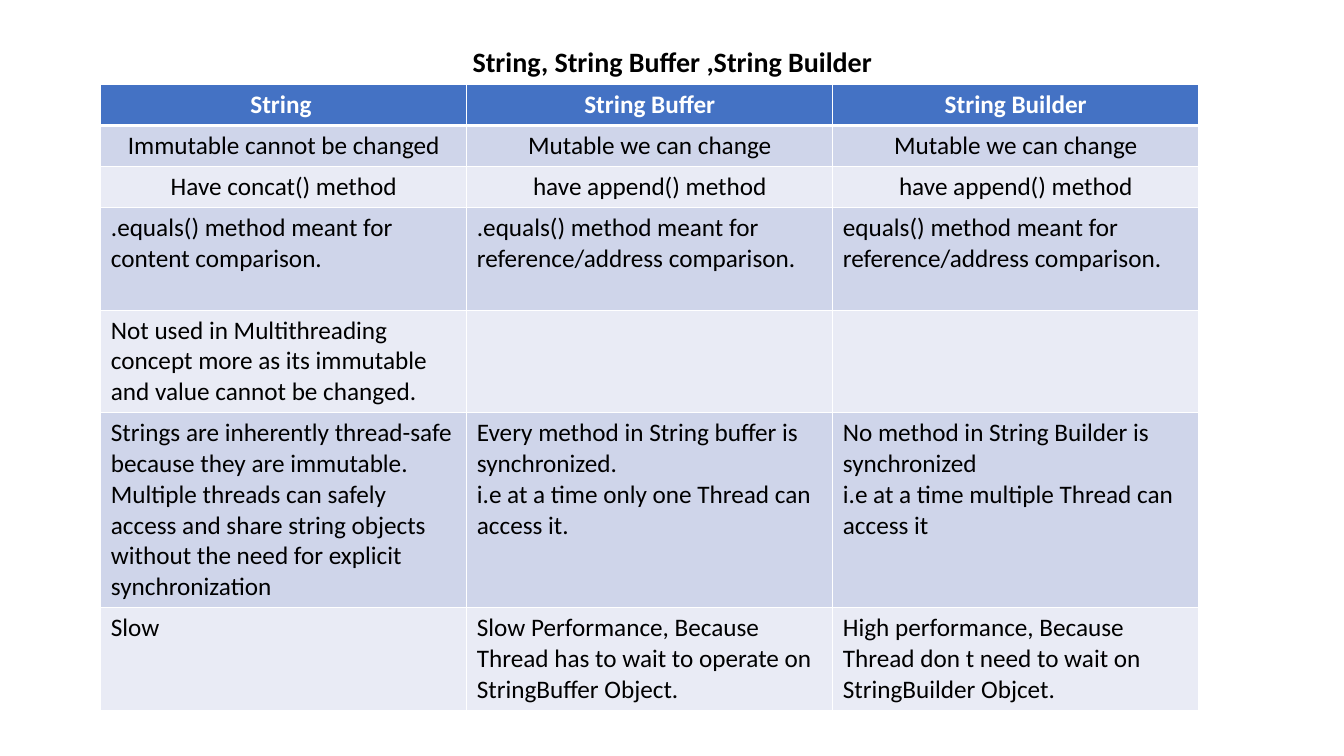
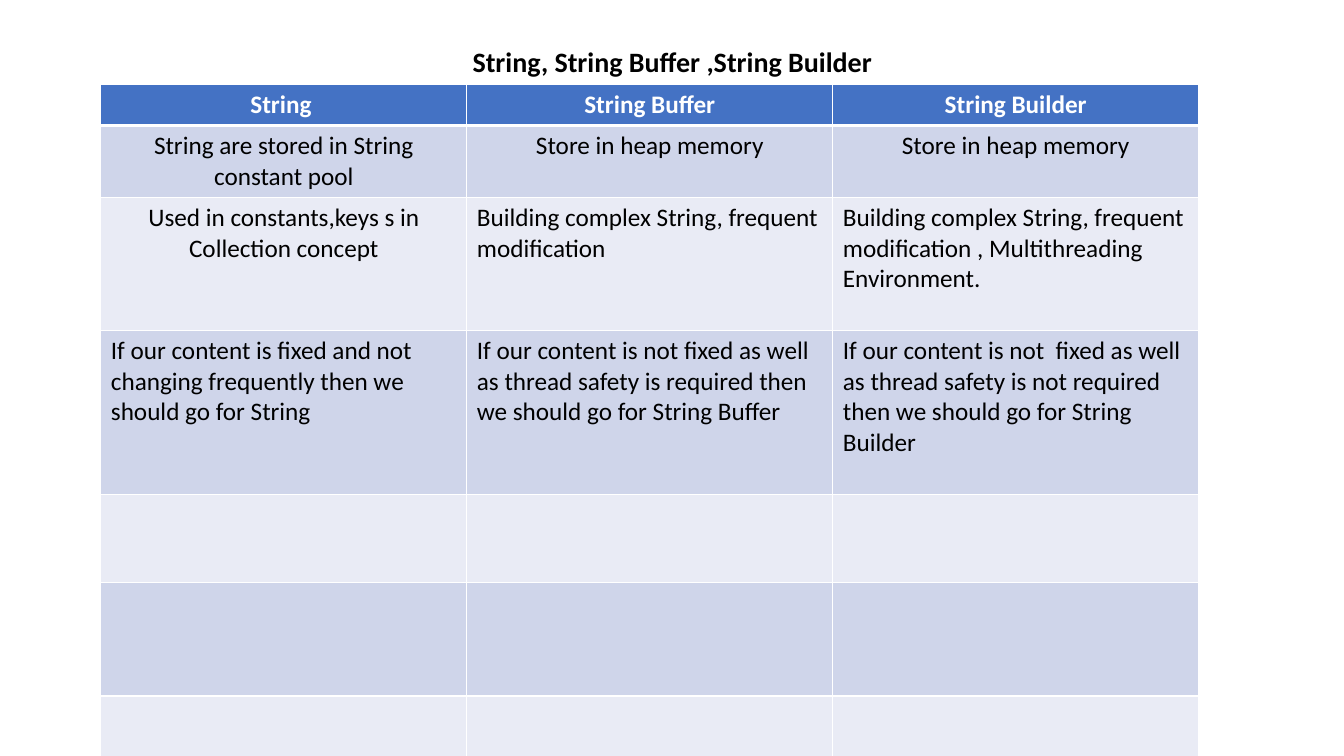
"""Build two slides comparing String, String Buffer and String Builder."""
import lxml.etree
import pptx
import pptx.dml.color
import pptx.enum.text
import pptx.oxml.ns
import pptx.util

Inches = pptx.util.Inches
Pt = pptx.util.Pt
RGBColor = pptx.dml.color.RGBColor
PP_ALIGN = pptx.enum.text.PP_ALIGN

TITLE = "String, String Buffer ,String Builder"
HEADINGS = ("String ", "String Buffer", "String Builder")
EMPTY_ROW = ("", "", "")

COMPARISONS = [
    {
        "rows": [
            ("Immutable cannot be changed", "Mutable we can change", "Mutable we can change"),
            ("Have concat() method", "have append() method", "have append() method"),
            (
                ".equals() method meant for content comparison.",
                ".equals() method meant for reference/address comparison.",
                "equals() method meant for reference/address comparison.",
            ),
            (
                "Not used in Multithreading concept more as its immutable "
                "and value cannot be changed.",
                "",
                "",
            ),
            (
                "Strings are inherently thread-safe because they are immutable. "
                "Multiple threads can safely access and share string objects "
                "without the need for explicit synchronization",
                "Every method in String buffer is synchronized.\v"
                "i.e at a time only one Thread can access it.",
                "No method in String Builder is synchronized\n"
                "i.e at a time multiple Thread can access it",
            ),
            (
                "Slow ",
                "Slow Performance, Because Thread has to wait to operate on StringBuffer Object.",
                "High performance, Because Thread don t need to wait on StringBuilder Objcet.",
            ),
        ],
        "heights": (0.4, 0.4, 0.4, 1.02, 1.02, 1.93, 1.02),
        "centred_rows": (3, 3, 3),
    },
    {
        "rows": [
            (
                "String are stored in String constant pool",
                "Store in heap memory",
                "Store in heap memory",
            ),
            (
                "Used in constants,keys s in Collection concept",
                "Building complex String, frequent modification",
                "Building complex String, frequent modification , Multithreading Environment.",
            ),
            (
                "If our content is fixed and not changing frequently then we should go for String",
                "If our content is not fixed as well as thread safety is required "
                "then we should go for String Buffer",
                "If our content is not  fixed as well as thread safety is not required "
                "then we should go for String Builder",
            ),
            EMPTY_ROW,
            EMPTY_ROW,
            EMPTY_ROW,
        ],
        "heights": (0.4, 0.71, 1.32, 1.63, 0.87, 1.13, 0.87),
        "centred_rows": (3, 2, 2),
    },
]

FONT = "Calibri"
BLACK = RGBColor(0x00, 0x00, 0x00)
WHITE = RGBColor(0xFF, 0xFF, 0xFF)
HEADER_BLUE = RGBColor(0x44, 0x72, 0xC4)
BANDS = (RGBColor(0xE9, 0xEB, 0xF5), RGBColor(0xCF, 0xD5, 0xEA))

TABLE_LEFT, TABLE_TOP = 1, 0.84
COLUMN_WIDTH = 3.63


def format_paragraph(paragraph, size, color, bold, align):
    paragraph.alignment = align
    for run in paragraph.runs:
        run.font.name = FONT
        run.font.size = Pt(size)
        run.font.bold = bold
        run.font.color.rgb = color


def add_borders(cell, bottom_width):
    properties = cell._tc.get_or_add_tcPr()
    for side, width in (("L", 1), ("R", 1), ("T", 1), ("B", bottom_width)):
        border = lxml.etree.SubElement(
            properties, pptx.oxml.ns.qn(f"a:ln{side}"), w=str(Pt(width))
        )
        fill = lxml.etree.SubElement(border, pptx.oxml.ns.qn("a:solidFill"))
        lxml.etree.SubElement(fill, pptx.oxml.ns.qn("a:srgbClr"), val=str(WHITE))


def add_title(slide):
    title = slide.shapes.title
    title.left, title.top = Inches(0.92), Inches(0.4)
    title.width, title.height = Inches(11.5), Inches(0.45)
    frame = title.text_frame
    frame.text = TITLE
    frame.auto_size = pptx.enum.text.MSO_AUTO_SIZE.NONE
    frame.vertical_anchor = pptx.enum.text.MSO_ANCHOR.MIDDLE
    frame.paragraphs[0].line_spacing = 0.9
    format_paragraph(frame.paragraphs[0], 20, BLACK, True, PP_ALIGN.CENTER)


def add_comparison(slide, comparison):
    rows = [HEADINGS] + comparison["rows"]
    heights = comparison["heights"]
    table = slide.shapes.add_table(
        len(rows), len(HEADINGS), Inches(TABLE_LEFT), Inches(TABLE_TOP),
        Inches(COLUMN_WIDTH * len(HEADINGS)), Inches(sum(heights)),
    ).table
    for column in table.columns:
        column.width = Inches(COLUMN_WIDTH)
    for r, (texts, height) in enumerate(zip(rows, heights)):
        table.rows[r].height = Inches(height)
        is_header = r == 0
        for c, text in enumerate(texts):
            cell = table.cell(r, c)
            add_borders(cell, 3 if is_header else 1)
            cell.fill.solid()
            cell.fill.fore_color.rgb = HEADER_BLUE if is_header else BANDS[r % 2]
            cell.text_frame.text = text
            centred = r < comparison["centred_rows"][c]
            for paragraph in cell.text_frame.paragraphs:
                format_paragraph(
                    paragraph, 18, WHITE if is_header else BLACK, is_header,
                    PP_ALIGN.CENTER if centred else PP_ALIGN.LEFT,
                )


presentation = pptx.Presentation()
presentation.slide_width = Inches(13.33)
presentation.slide_height = Inches(7.5)
title_only = presentation.slide_layouts[5]
for comparison in COMPARISONS:
    slide = presentation.slides.add_slide(title_only)
    add_title(slide)
    add_comparison(slide, comparison)
presentation.save("out.pptx")
